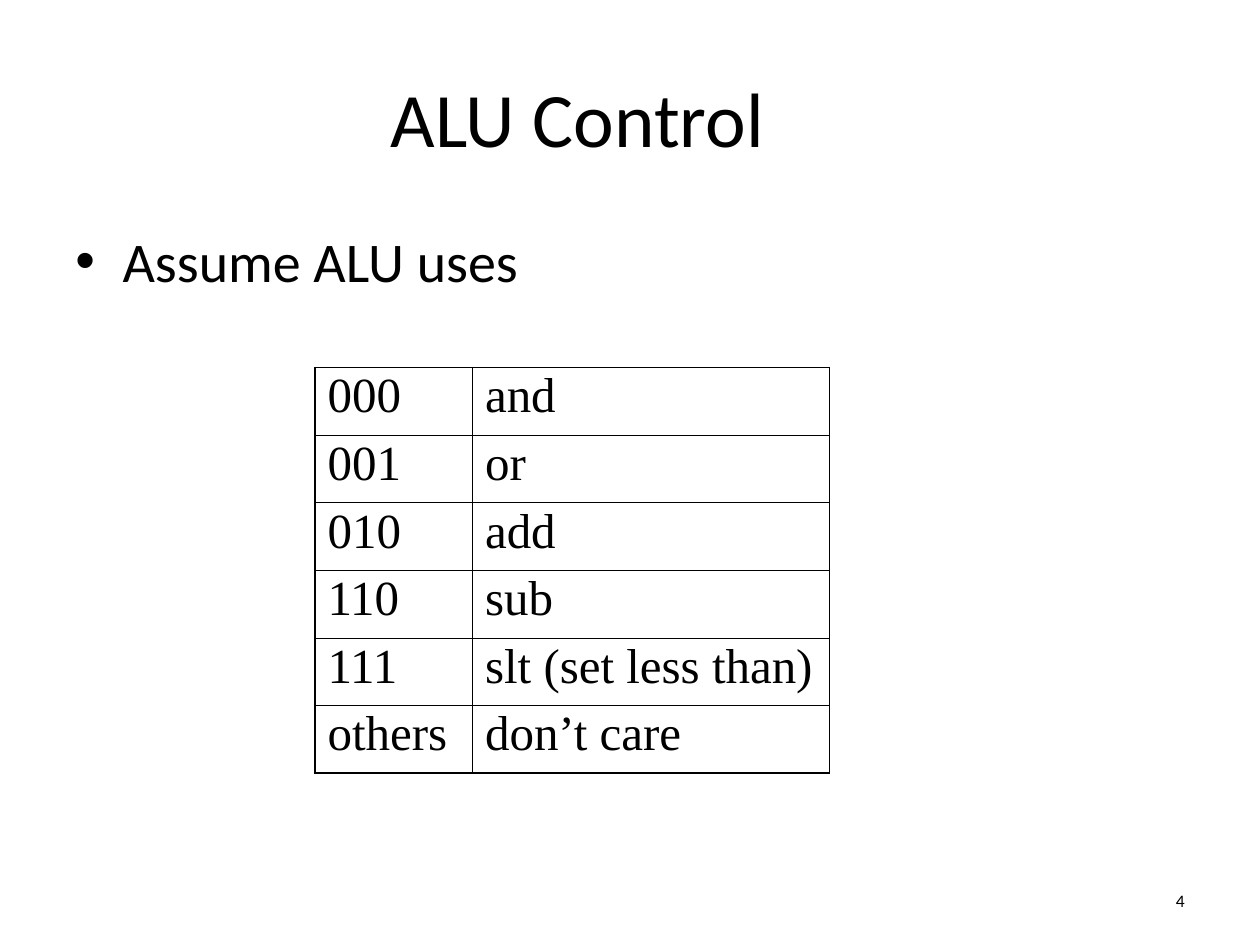
from lxml import etree
from pptx import Presentation
from pptx.dml.color import RGBColor
from pptx.enum.text import MSO_ANCHOR, PP_ALIGN
from pptx.oxml.ns import qn
from pptx.util import Pt

TOP, MIDDLE = MSO_ANCHOR.TOP, MSO_ANCHOR.MIDDLE
LEFT, CENTER, RIGHT = PP_ALIGN.LEFT, PP_ALIGN.CENTER, PP_ALIGN.RIGHT
COLORS = {"text": "000000", "border": "000000"}

# text, (left, top, width, height), anchor, alignment, size, bulleted
TEXT_BOXES = [
    ("ALU Control", (36, 21.6, 588, 90), MIDDLE, CENTER, 44, False),
    ("Assume ALU uses", (36, 126, 648, 356.4), TOP, LEFT, 32, True),
    ("4", (600, 500.4, 84, 28.8), MIDDLE, RIGHT, 10, False),
]
OPERATIONS = [
    ("000", "and"),
    ("001", "or"),
    ("010", "add"),
    ("110", "sub"),
    ("111", "slt (set less than)"),
    ("others", "don’t care"),
]
TABLE_LEFT, TABLE_TOP = 180, 210
COLUMN_WIDTHS = (90, 204)
ROW_HEIGHT = 38.65
OUTER_LINE, INNER_LINE = 1.08, 0.45
BULLET_INDENT = 27


def set_format(target, values):
    for name, value in values.items():
        setattr(target, name, value)


def style_font(paragraph, name, size):
    set_format(paragraph.font, {"name": name, "size": Pt(size)})
    paragraph.font.color.rgb = RGBColor.from_string(COLORS["text"])


def add_bullet(paragraph):
    properties = paragraph._p.get_or_add_pPr()
    properties.set("marL", str(Pt(BULLET_INDENT)))
    properties.set("indent", str(-Pt(BULLET_INDENT)))
    etree.SubElement(properties, qn("a:buFont"), typeface="Arial")
    etree.SubElement(properties, qn("a:buChar"), char="•")


def add_text_box(slide, text, box, anchor, alignment, size, bulleted):
    frame = slide.shapes.add_textbox(*map(Pt, box)).text_frame
    set_format(frame, {"word_wrap": True, "vertical_anchor": anchor})
    paragraph = frame.paragraphs[0]
    set_format(paragraph, {"text": text, "alignment": alignment})
    if bulleted:
        add_bullet(paragraph)
    style_font(paragraph, "Calibri", size)


def set_borders(cell, widths):
    properties = cell._tc.get_or_add_tcPr()
    for side, width in widths.items():
        line = etree.SubElement(properties, qn(f"a:ln{side}"), w=str(Pt(width)))
        fill = etree.SubElement(line, qn("a:solidFill"))
        etree.SubElement(fill, qn("a:srgbClr"), val=COLORS["border"])


def add_operation_table(slide):
    row_count, column_count = len(OPERATIONS), len(COLUMN_WIDTHS)
    table = slide.shapes.add_table(
        row_count, column_count, Pt(TABLE_LEFT), Pt(TABLE_TOP),
        Pt(sum(COLUMN_WIDTHS)), Pt(ROW_HEIGHT * row_count)).table
    set_format(table, {"first_row": False, "horz_banding": False})
    for column, width in zip(table.columns, COLUMN_WIDTHS):
        column.width = Pt(width)
    for row_index, operation in enumerate(OPERATIONS):
        table.rows[row_index].height = Pt(ROW_HEIGHT)
        for column_index, text in enumerate(operation):
            cell = table.cell(row_index, column_index)
            outer_sides = {
                "L": column_index == 0,
                "R": column_index == column_count - 1,
                "T": row_index == 0,
                "B": row_index == row_count - 1,
            }
            set_borders(cell, {side: OUTER_LINE if outer else INNER_LINE
                               for side, outer in outer_sides.items()})
            cell.fill.background()
            paragraph = cell.text_frame.paragraphs[0]
            set_format(paragraph, {"text": text, "line_spacing": 0.9})
            style_font(paragraph, "Times New Roman", 28)


def main():
    presentation = Presentation()
    set_format(presentation, {"slide_width": Pt(720), "slide_height": Pt(540)})
    slide = presentation.slides.add_slide(presentation.slide_layouts[6])
    for text_box in TEXT_BOXES:
        add_text_box(slide, *text_box)
    add_operation_table(slide)
    presentation.save("out.pptx")


if __name__ == "__main__":
    main()
